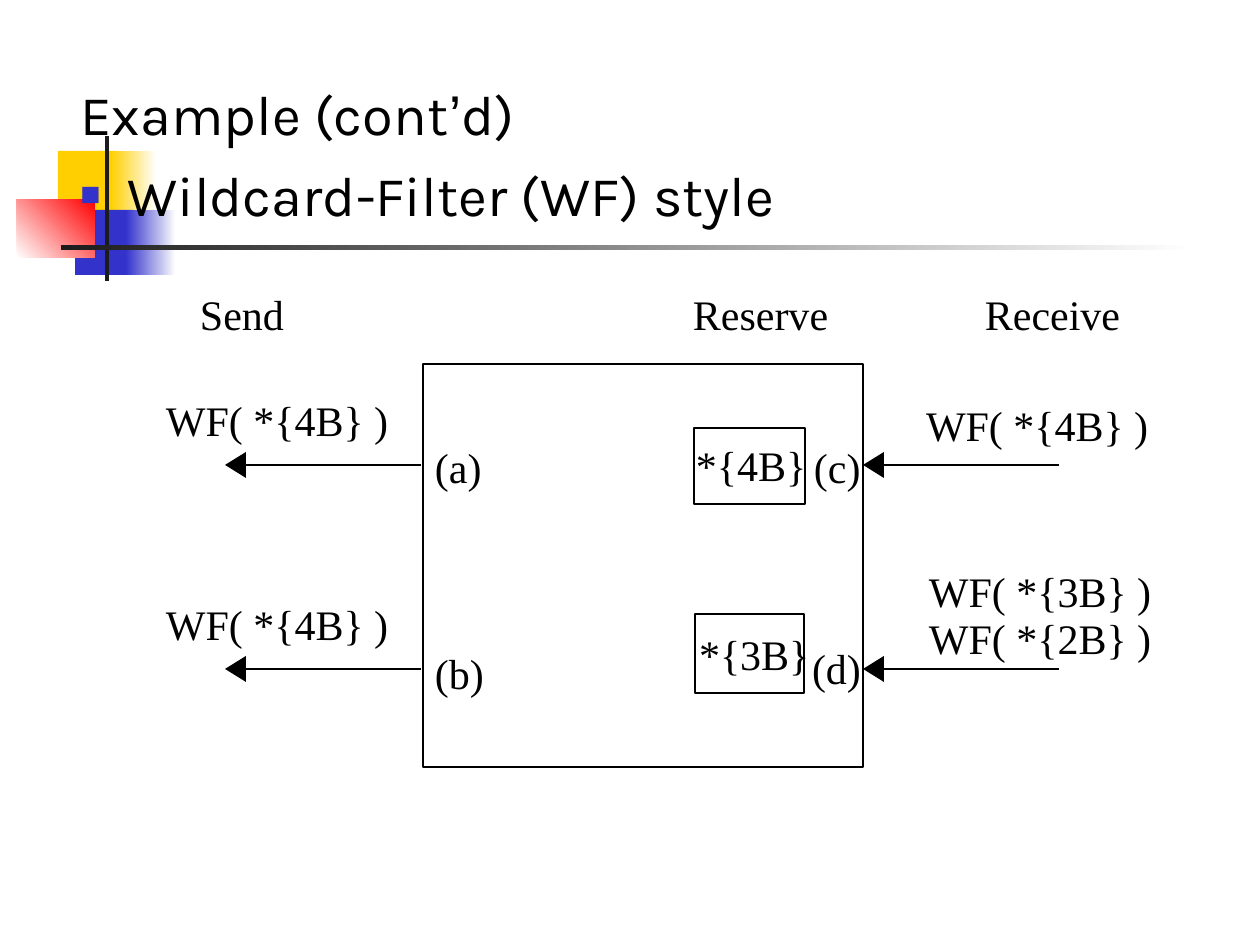
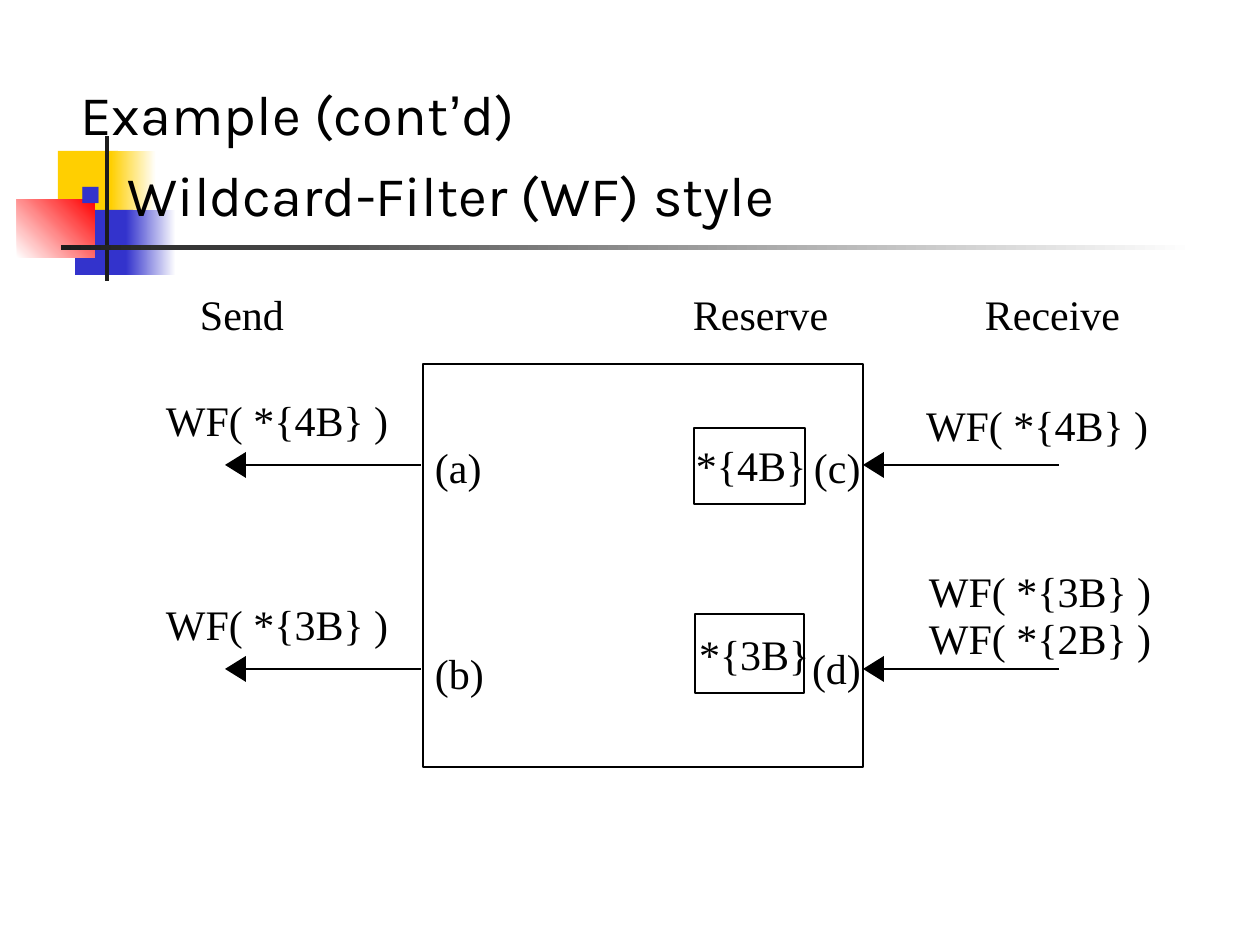
from lxml import etree
from pptx import Presentation
from pptx.dml.color import RGBColor
from pptx.enum import shapes, text
from pptx.oxml.ns import qn
from pptx.util import Pt

SCALE = 914400 / 126
BLACK, WHITE, DARK = "000000", "FFFFFF", "1C1C1C"
GOLD, BLUE, RED = "FFCF01", "3333CC", "FF0000"
SERIF, SANS, MARK = "Times New Roman", "Karla", "Arial"
DECOR = [
    ((58, 151, 60, 66), (GOLD,), 0),
    ((111, 151, 45, 66), (GOLD, WHITE), 0),
    ((75, 210, 58, 65), (BLUE,), 0),
    ((126, 210, 50, 65), (BLUE, WHITE), 0),
    ((17, 199, 78, 59), (WHITE, RED), 45),
    ((105, 136, 4, 145), (DARK,), 0),
    ((61, 245, 1134, 5), (DARK, WHITE), 0),
]
FRAME = (423, 364, 440, 403)
CELLS = [(271, 64, 111, 76), (272, 250, 109, 79)]
ROWS = (101, 305)
TIPS = (-198, 440)
WIDE, CELL, MARKER = 232, 118, 56
LABELS = [
    (12, 78, MARKER, "(a)"), (12, 284, MARKER, "(b)"),
    (391, 78, MARKER, "(c)"), (389, 279, MARKER, "(d)"),
    (273, 76, CELL, "*{4B}"), (276, 265, CELL, "*{3B}"),
    (503, 36, WIDE, "WF( *{4B} )"),
    (506, 202, WIDE, "WF( *{3B} )"), (506, 249, WIDE, "WF( *{2B} )"),
]


def px(*nums):
    """Turn pixel lengths into EMU."""
    return [round(n * SCALE) for n in nums]


def rgb(code):
    """Turn a hex string into a colour."""
    return RGBColor.from_string(code)


def rect(slide, box, fills=(), angle=0):
    """Draw a solid, faded or outlined rectangle."""
    shape = slide.shapes.add_shape(shapes.MSO_SHAPE.RECTANGLE, *px(*box))
    shape.shadow.inherit = False
    if not fills:
        shape.fill.background()
        shape.line.color.rgb = rgb(BLACK)
        shape.line.width = Pt(1.5)
        return
    shape.line.fill.background()
    if len(fills) == 1:
        shape.fill.solid()
        shape.fill.fore_color.rgb = rgb(fills[0])
        return
    shape.fill.gradient()
    shape.fill.gradient_angle = angle
    for stop, code in zip(shape.fill.gradient_stops, fills):
        stop.color.rgb = rgb(code)


def style(para, size, face):
    """Set the font of a paragraph."""
    para.font.size = Pt(size)
    para.font.name = face
    para.font.color.rgb = rgb(BLACK)


def label(slide, left, top, width, words, stops=()):
    """Write one line of serif text, with optional tab stops."""
    frame = slide.shapes.add_textbox(*px(left, top, width, 50)).text_frame
    frame.margin_left = frame.margin_right = 0
    frame.margin_top = frame.margin_bottom = 0
    frame.word_wrap = True
    para = frame.paragraphs[0]
    para.text = words
    if stops:
        tabs = etree.SubElement(para._p.get_or_add_pPr(), qn("a:tabLst"))
        for pos in px(*stops):
            etree.SubElement(tabs, qn("a:tab"), pos=str(pos), algn="l")
    style(para, 24, SERIF)


def arrow(slide, left, mid):
    """Draw an arrow that points left to the given tip."""
    base = left + 21
    line = slide.shapes.add_connector(
        shapes.MSO_CONNECTOR.STRAIGHT, *px(left + 196, mid, base, mid))
    line.line.color.rgb = rgb(BLACK)
    line.line.width = Pt(1.5)
    etree.SubElement(line._element.spPr, qn("a:effectLst"))
    path = slide.shapes.build_freeform(*px(base, mid - 13))
    path.add_line_segments([px(left, mid), px(base, mid + 13)], close=True)
    head = path.convert_to_shape()
    head.shadow.inherit = False
    head.fill.solid()
    head.fill.fore_color.rgb = rgb(BLACK)
    head.line.fill.background()


def bullet(para):
    """Give a paragraph a small blue square."""
    props = para._p.get_or_add_pPr()
    tint = etree.SubElement(props, qn("a:buClr"))
    etree.SubElement(tint, qn("a:srgbClr"), val=BLUE)
    etree.SubElement(props, qn("a:buSzPct"), val="60000")
    etree.SubElement(props, qn("a:buFont"), typeface=MARK)
    etree.SubElement(props, qn("a:buChar"), char="■")


def title(slide, box):
    """Write the title and the bulleted line below it."""
    frame = slide.shapes.add_textbox(*px(*box)).text_frame
    frame.word_wrap = True
    frame.vertical_anchor = text.MSO_ANCHOR.TOP
    first, second = frame.paragraphs[0], frame.add_paragraph()
    for words, face in (("Example (cont", SANS), ("’", MARK), ("d)", SANS)):
        run = first.add_run()
        run.text = words
        run.font.name = face
    second.text = "Wildcard-Filter (WF) style"
    second.space_before = Pt(8)
    indent = px(47)[0]
    props = second._p.get_or_add_pPr()
    props.set("marL", str(indent))
    props.set("indent", str(-indent))
    bullet(second)
    for para in (first, second):
        style(para, 32, SANS)


def diagram(slide, box, sends):
    """Draw the router with its reservations and messages."""
    left, top = box[:2]
    label(slide, left - 223, top - 75, 980, "Send\tReserve\tReceive", (493, 785))
    rect(slide, box)
    for x, y, w, h in CELLS:
        rect(slide, (left + x, top + y, w, h))
    for row, send in zip(ROWS, sends):
        label(slide, left - 257, top + row - 70, WIDE, send)
        for tip in TIPS:
            arrow(slide, left + tip, top + row)
    for x, y, w, words in LABELS:
        label(slide, left + x, top + y, w, words)


def build(deck, sends):
    """Add one example slide."""
    slide = deck.slides.add_slide(deck.slide_layouts[6])
    for box, fills, angle in DECOR:
        rect(slide, box, fills, angle)
    title(slide, (68, 73, 1134, 798))
    diagram(slide, FRAME, sends)


def main():
    """Build and save the deck."""
    deck = Presentation()
    deck.slide_width, deck.slide_height = px(1260, 945)
    for low in ("WF( *{4B} )", "WF( *{3B} )"):
        build(deck, ("WF( *{4B} )", low))
    deck.save("out.pptx")


if __name__ == "__main__":
    main()
